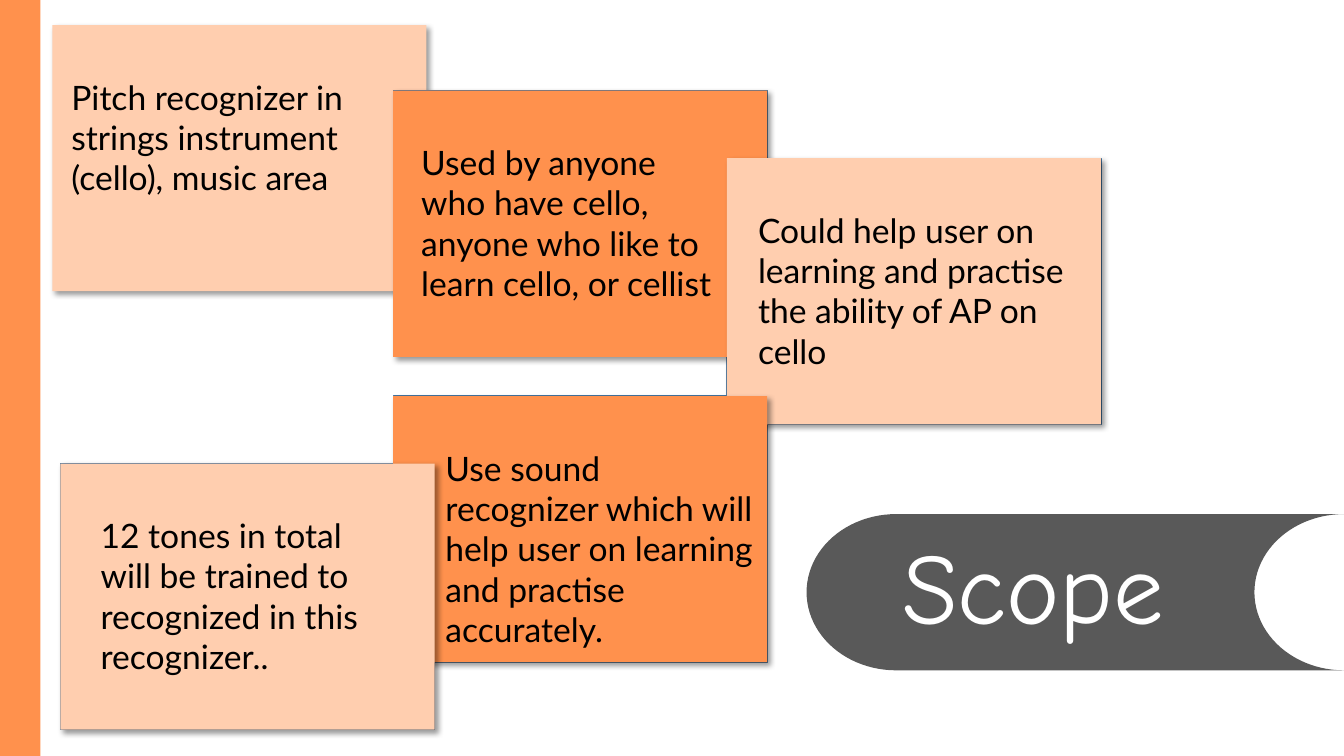
from lxml.etree import SubElement
from pptx import Presentation
from pptx.dml.color import RGBColor
from pptx.enum.shapes import MSO_SHAPE
from pptx.enum.text import MSO_AUTO_SIZE
from pptx.oxml.ns import qn
from pptx.util import Inches, Pt

COLORS = {
    "orange": "FF914D", "peach": "FFCEAF", "blue": "5B9BD5", "edge": "43739E",
    "gray": "595959", "white": "FFFFFF", "black": "000000",
}
SLIDE_W, SLIDE_H = 13.33, 7.5
CARD_W, CARD_H = 3.71, 2.64
TEXT_DROP = 0.46

# left, top, fill, text indent, text width, text height, text
CARDS = [
    (0.52, 0.25, "peach", 0.09, 3.31, 1.31,
     "Pitch recognizer in strings instrument (cello), music area"),
    (3.9, 0.9, "orange", 0.18, 3.14, 2.12,
     "Used by anyone who have cello, anyone who like to learn cello, or cellist"),
    (7.21, 1.57, "peach", 0.21, 3.33, 1.72,
     "Could help user on learning and practise the ability of AP on cello"),
    (3.9, 3.93, "orange", 0.42, 3.31, 2.12,
     "Use sound recognizer which will help user on learning and practise accurately."),
    (0.6, 4.6, "peach", 0.3, 2.98, 1.72,
     "12 tones in total will be trained to recognized in this recognizer.."),
]


def rgb(name):
    return RGBColor.from_string(COLORS[name])


def add_block(s, kind, box, fill, line=None):
    sp = s.shapes.add_shape(kind, *map(Inches, box))
    sp.shadow.inherit = False
    sp.fill.solid()
    sp.fill.fore_color.rgb = rgb(fill)
    if line:
        sp.line.color.rgb = rgb(line)
        sp.line.width = Pt(1)
    else:
        sp.line.fill.background()
    return sp


def add_shadow(sp):
    """Soft shadow falling to the lower right."""
    effects = sp._element.spPr.find(qn("a:effectLst"))
    shadow = SubElement(effects, qn("a:outerShdw"), blurRad=str(Pt(4)),
                        dist=str(Pt(3)), dir=str(45 * 60000),
                        algn="tl", rotWithShape="0")
    color = SubElement(shadow, qn("a:srgbClr"), val=COLORS["black"])
    SubElement(color, qn("a:alpha"), val="40000")


def add_text(s, box, text, size, font, color):
    tf = s.shapes.add_textbox(*map(Inches, box)).text_frame
    tf.word_wrap = True
    tf.auto_size = MSO_AUTO_SIZE.SHAPE_TO_FIT_TEXT
    r = tf.paragraphs[0].add_run()
    r.text = text
    r.font.size = Pt(size)
    r.font.name = font
    r.font.color.rgb = rgb(color)


def add_cards(s, cards):
    """Stack outlined backings, then shadowed fronts, then the texts."""
    first, *others = cards
    add_card_front(s, first)
    for left, top, *_ in others:
        add_block(s, MSO_SHAPE.RECTANGLE, (left, top, CARD_W, CARD_H), "blue", "edge")
    for card in others:
        add_card_front(s, card)
    for left, top, _, indent, width, height, text in cards:
        add_text(s, (left + indent, top + TEXT_DROP, width, height),
                 text, 24, "Lato", "black")


def add_card_front(s, card):
    left, top, fill, *_ = card
    add_shadow(add_block(s, MSO_SHAPE.RECTANGLE, (left, top, CARD_W, CARD_H), fill))


def add_title_tab(s, left, top, width, height):
    add_block(s, MSO_SHAPE.FLOWCHART_STORED_DATA, (left, top, width, height), "gray")
    add_text(s, (left + 0.85, top + 0.05, 3.64, 1.31),
             "Scope", 72, "Comic Neue", "white")


def add_scope_slide(prs):
    s = prs.slides.add_slide(prs.slide_layouts[6])
    s.background.fill.solid()
    s.background.fill.fore_color.rgb = rgb("white")
    add_block(s, MSO_SHAPE.RECTANGLE, (0, 0, 0.4, SLIDE_H), "orange")
    add_cards(s, CARDS)
    add_title_tab(s, 8, 5.1, SLIDE_W - 8, 1.55)


def main():
    prs = Presentation()
    prs.slide_width, prs.slide_height = Inches(SLIDE_W), Inches(SLIDE_H)
    add_scope_slide(prs)
    prs.save("out.pptx")


if __name__ == "__main__":
    main()
